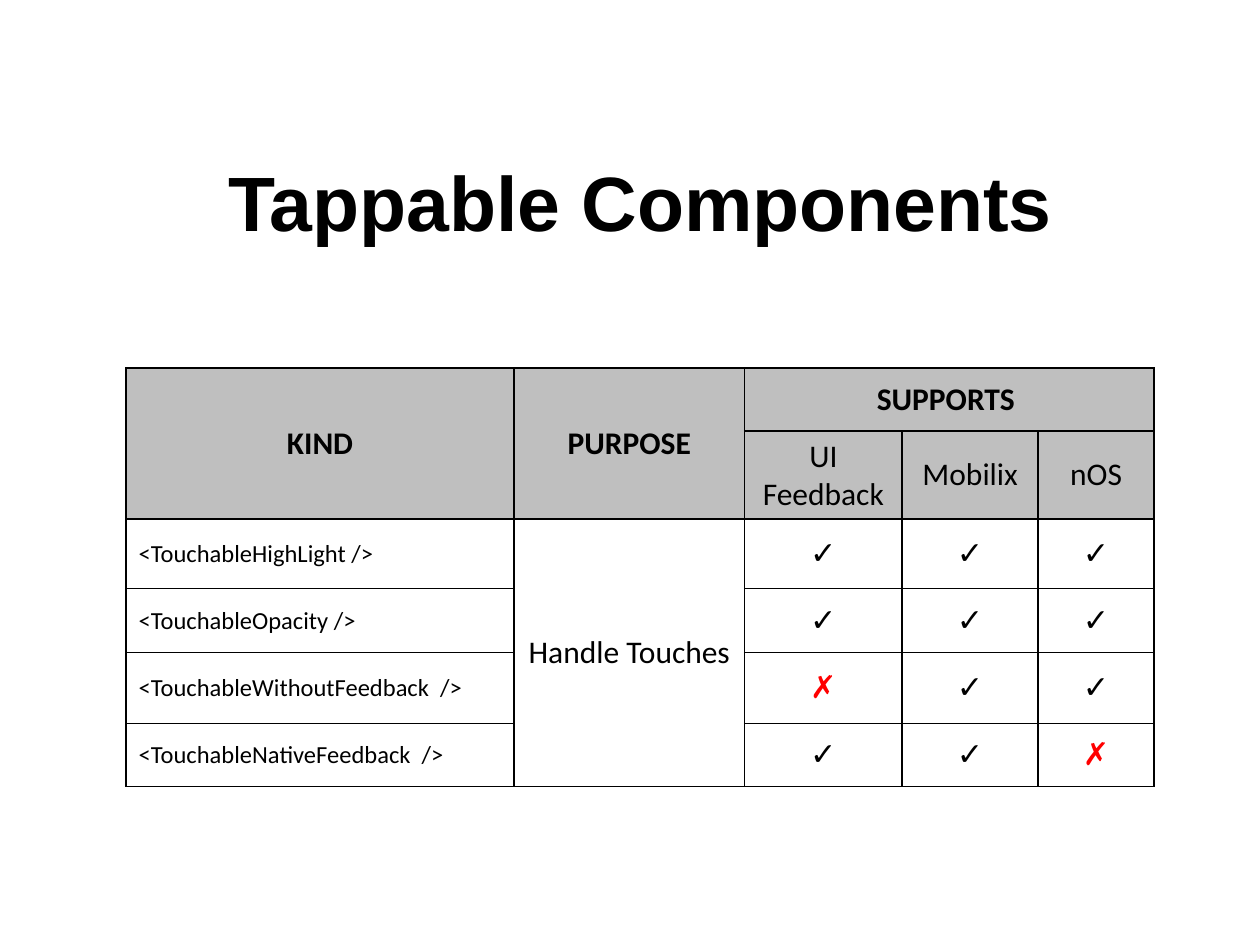
import pptx
import pptx.util
import pptx.dml.color
import pptx.enum.text
import pptx.oxml
import pptx.oxml.ns
from dataclasses import dataclass
from lxml import etree

Inches = pptx.util.Inches
Pt = pptx.util.Pt
RGB = pptx.dml.color.RGBColor.from_string
Align = pptx.enum.text.PP_ALIGN
Anchor = pptx.enum.text.MSO_ANCHOR


@dataclass(frozen=True)
class Theme:
    ink: str = "000000"
    header: str = "BFBFBF"
    paper: str = "FFFFFF"
    missing: str = "FF0000"
    title_font: str = "Arial"
    table_font: str = "Calibri"
    title_size: int = 44
    cell_size: int = 18
    kind_size: int = 14
    border: int = 1


THEME = Theme()
LEFT, WIDTH = 1, 8.17
COL_WIDTHS = [3.08, 1.83, 1.25, 1.08, 0.92]
ROW_HEIGHTS = [0.5, 0.55, 0.55, 0.51, 0.56, 0.5]
YES, NO = "✓", "✗"
HEADINGS = ["KIND", "PURPOSE", "SUPPORTS "]
PLATFORMS = ["UI Feedback", "Mobilix", "nOS"]
COMPONENTS = [
    ("<TouchableHighLight />", YES, YES, YES),
    ("<TouchableOpacity />", YES, YES, YES),
    ("<TouchableWithoutFeedback  />", NO, YES, YES),
    ("<TouchableNativeFeedback  />", YES, YES, NO),
]


def style_paragraph(p, font, size, color, bold, align):
    p.alignment = align
    for r in p.runs:
        r.font.name = font
        r.font.size = Pt(size)
        r.font.bold = bold
        r.font.color.rgb = RGB(color)


def add_title(s, text):
    sp = s.shapes.title
    sp.left, sp.top = Inches(LEFT), Inches(1.17)
    sp.width, sp.height = Inches(WIDTH), Inches(0.84)
    tf = sp.text_frame
    tf.text = text
    tf.word_wrap = True
    tf.auto_size = pptx.enum.text.MSO_AUTO_SIZE.SHAPE_TO_FIT_TEXT
    style_paragraph(tf.paragraphs[0], THEME.title_font, THEME.title_size,
                    THEME.ink, True, Align.CENTER)


def set_borders(cell):
    props = cell._tc.get_or_add_tcPr()
    for i, side in enumerate(("lnL", "lnR", "lnT", "lnB")):
        ln = etree.Element(pptx.oxml.ns.qn(f"a:{side}"), w=str(Pt(THEME.border)))
        fill = etree.SubElement(ln, pptx.oxml.ns.qn("a:solidFill"))
        etree.SubElement(fill, pptx.oxml.ns.qn("a:srgbClr"), val=THEME.ink)
        props.insert(i, ln)


def set_text(cell, text, size=THEME.cell_size, color=THEME.ink, bold=False,
             align=Align.CENTER):
    cell.text_frame.text = text
    style_paragraph(cell.text_frame.paragraphs[0], THEME.table_font, size,
                    color, bold, align)


def add_grid(s):
    frame = s.shapes.add_table(len(ROW_HEIGHTS), len(COL_WIDTHS), Inches(LEFT),
                               Inches(2.92), Inches(WIDTH), Inches(sum(ROW_HEIGHTS)))
    table = frame.table
    for col, width in zip(table.columns, COL_WIDTHS):
        col.width = Inches(width)
    for i, (row, height) in enumerate(zip(table.rows, ROW_HEIGHTS)):
        row.height = Inches(height)
        for cell in row.cells:
            cell.fill.solid()
            cell.fill.fore_color.rgb = RGB(THEME.header if i < 2 else THEME.paper)
            cell.vertical_anchor = Anchor.MIDDLE
            set_borders(cell)
    for first, last in [((0, 0), (1, 0)), ((0, 1), (1, 1)),
                        ((0, 2), (0, 4)), ((2, 1), (5, 1))]:
        table.cell(*first).merge(table.cell(*last))
    return table


def fill_table(table):
    for col, text in enumerate(HEADINGS):
        set_text(table.cell(0, col), text, bold=True)
    for col, text in enumerate(PLATFORMS, 2):
        set_text(table.cell(1, col), text)
    set_text(table.cell(2, 1), "Handle Touches")
    for row, (kind, *marks) in enumerate(COMPONENTS, 2):
        set_text(table.cell(row, 0), kind, size=THEME.kind_size, align=Align.LEFT)
        for col, mark in enumerate(marks, 2):
            set_text(table.cell(row, col), mark,
                     color=THEME.missing if mark == NO else THEME.ink)


def main():
    prs = pptx.Presentation()
    prs.slide_width, prs.slide_height = Inches(10), Inches(7.5)
    s = prs.slides.add_slide(prs.slide_layouts[5])
    add_title(s, "Tappable Components")
    fill_table(add_grid(s))
    prs.save("out.pptx")


if __name__ == "__main__":
    main()
